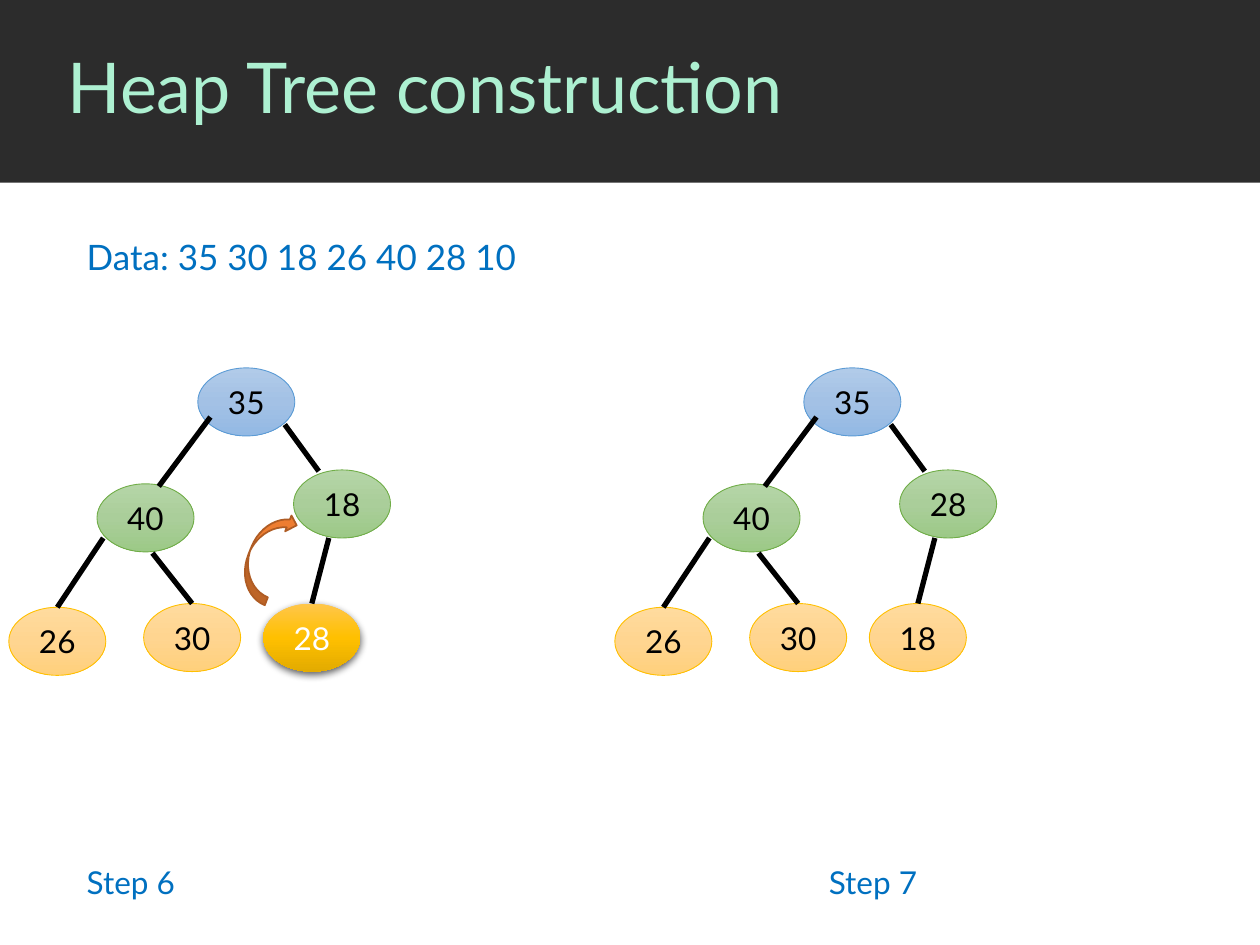
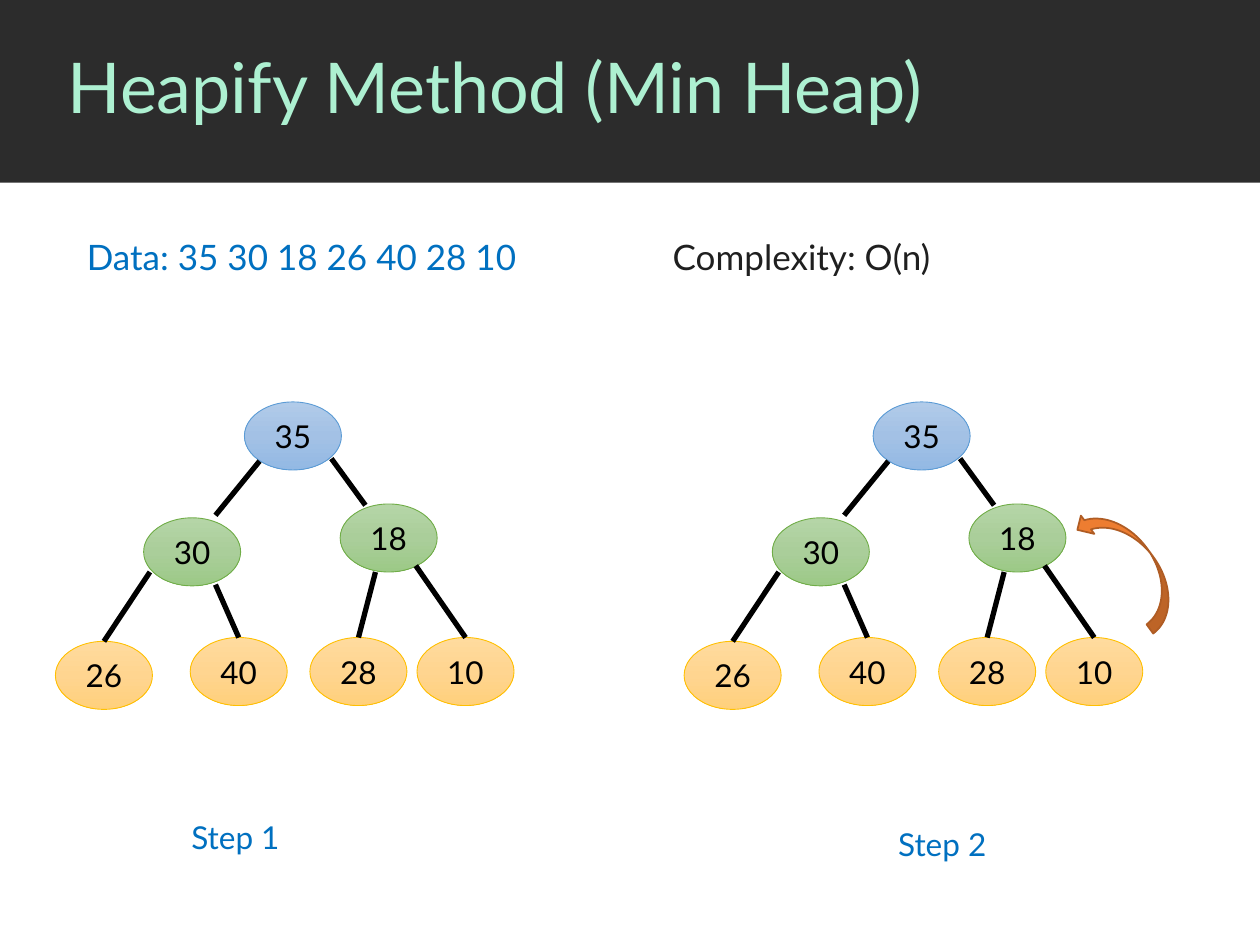
from copy import deepcopy

from lxml import etree
from pptx import Presentation
from pptx.dml.color import RGBColor as RGB
from pptx.enum.shapes import MSO_CONNECTOR as CXN, MSO_SHAPE as SHAPE
from pptx.enum.text import MSO_ANCHOR as ANCHOR, PP_ALIGN as ALIGN
from pptx.oxml.ns import qn
from pptx.util import Inches, Pt

FONT = "Lato"
BAND = RGB(0x2C, 0x2C, 0x2C)
MINT = RGB(0xAD, 0xF0, 0xD1)
BLUE = RGB(0x00, 0x70, 0xC0)
INK = RGB(0x1F, 0x1F, 0x1F)
BLACK = RGB(0x00, 0x00, 0x00)
WHITE = RGB(0xFF, 0xFF, 0xFF)
ORANGE = RGB(0xED, 0x7D, 0x31)
RUST = RGB(0xAF, 0x5C, 0x24)

# Node styles: three gradient colours and an outline
ROOT = ((RGB(0xB1, 0xCB, 0xE9), RGB(0xA3, 0xC1, 0xE5), RGB(0x93, 0xB9, 0xE4)),
        RGB(0x5B, 0x9B, 0xD5))
INNER = ((RGB(0xB5, 0xD5, 0xA7), RGB(0xAA, 0xCE, 0x9A), RGB(0x9C, 0xC9, 0x87)),
         RGB(0x70, 0xAD, 0x47))
LEAF = ((RGB(0xFF, 0xDB, 0x9E), RGB(0xFF, 0xD5, 0x90), RGB(0xFF, 0xD0, 0x7C)),
        RGB(0xFF, 0xC0, 0x00))
MOVING = ((RGB(0xFF, 0xC6, 0x4B), RGB(0xFF, 0xC0, 0x00), RGB(0xE3, 0xAB, 0x00)),
          None)

# Tree layout in level order, measured from the root's top left corner
NODE_W, NODE_H = 0.77, 0.54
NODES = [(0, 0), (-0.8, 0.92), (0.76, 0.81),
         (-1.5, 1.9), (-0.43, 1.87), (0.52, 1.87), (1.37, 1.87)]
STYLES = [ROOT] + [INNER] * 2 + [LEAF] * 4
# Edge start for each child, and edge end for the two inner children
STARTS = {1: (0.12, 0.47), 2: (0.69, 0.45), 3: (-0.75, 1.35),
          4: (-0.23, 1.45), 5: (1.04, 1.35), 6: (1.36, 1.3)}
ENDS = {1: (-0.23, 0.9), 2: (0.96, 0.82)}
# Edges that run differently in the construction steps
BUILD_STARTS = {1: (0.1, 0.39), 4: (-0.36, 1.47)}
BUILD_ENDS = {1: (-0.31, 0.94)}

DATA = "Data: 35 30 18 26 40 28 10"


class Deck:
    def __init__(self):
        self.prs = Presentation()
        self.prs.slide_width, self.prs.slide_height = Inches(10), Inches(7.5)
        self.s = None

    def slide(self, title):
        self.s = self.prs.slides.add_slide(self.prs.slide_layouts[6])
        self.shape(SHAPE.RECTANGLE, 0, 0, 10, 1.45, BAND)
        tf = self.text(title, 0.44, 0, 9.56, 1.44, 40, MINT)
        tf.vertical_anchor = ANCHOR.MIDDLE
        tf.paragraphs[0].line_spacing = 0.9

    def style(self, tf, text, size, color):
        tf.text = text
        r = tf.paragraphs[0].runs[0]
        r.font.name, r.font.size = FONT, Pt(size)
        r.font.color.rgb = color

    def text(self, text, x, y, w, h, size, color):
        tf = self.s.shapes.add_textbox(
            Inches(x), Inches(y), Inches(w), Inches(h)).text_frame
        tf.word_wrap = True
        self.style(tf, text, size, color)
        return tf

    def shape(self, kind, x, y, w, h, fill=None, line=None, width=1):
        sp = self.s.shapes.add_shape(
            kind, Inches(x), Inches(y), Inches(w), Inches(h))
        sp.shadow.inherit = False
        if fill is not None:
            sp.fill.solid()
            sp.fill.fore_color.rgb = fill
        if line is None:
            sp.line.fill.background()
        else:
            sp.line.color.rgb = line
            sp.line.width = Pt(width)
        return sp

    def node(self, value, x, y, style):
        colors, line = style
        sp = self.shape(SHAPE.OVAL, x, y, NODE_W, NODE_H, line=line, width=0.5)
        # Three-stop gradient from top to bottom
        sp.fill.gradient()
        sp.fill.gradient_angle = 270
        stops = next(sp._element.spPr.iter(qn("a:gsLst")))
        stops.append(deepcopy(stops[0]))
        for i, (stop, color) in enumerate(zip(sp.fill.gradient_stops, colors)):
            stop.position = i / 2
            stop.color.rgb = color
        tf = sp.text_frame
        tf.margin_left = tf.margin_right = 0
        tf.vertical_anchor = ANCHOR.MIDDLE
        self.style(tf, str(value), 18, WHITE if style is MOVING else BLACK)
        tf.paragraphs[0].alignment = ALIGN.CENTER
        if style is MOVING:
            self.drop_shadow(sp)
        return sp

    def drop_shadow(self, sp):
        effects = sp._element.spPr.find(qn("a:effectLst"))
        shadow = etree.SubElement(
            effects, qn("a:outerShdw"), blurRad=str(Pt(4.5)), dist=str(Pt(1.5)),
            dir="5400000", algn="ctr", rotWithShape="0")
        color = etree.SubElement(shadow, qn("a:srgbClr"), val=str(BLACK))
        etree.SubElement(color, qn("a:alpha"), val="63000")

    def edge(self, start, end, leaf=None):
        c = self.s.shapes.add_connector(
            CXN.STRAIGHT, *(Inches(v) for v in (*start, *end)))
        if leaf is not None:
            c.end_connect(leaf, 0)
        c.line.color.rgb = BLACK
        c.line.width = Pt(3)
        etree.SubElement(c._element.spPr, qn("a:effectLst"))

    def tree(self, x, y, values, starts=None, ends=None, moving=None):
        starts = {**STARTS, **(starts or {})}
        ends = {**ENDS, **(ends or {})}
        nodes = [self.node(v, x + dx, y + dy, MOVING if i == moving else STYLES[i])
                 for i, (v, (dx, dy)) in enumerate(zip(values, NODES))]
        for i in range(1, len(nodes)):
            dx, dy = NODES[i]
            ex, ey = ends.get(i, (dx + NODE_W / 2, dy))
            sx, sy = starts[i]
            self.edge((x + sx, y + sy), (x + ex, y + ey),
                      None if i in ends else nodes[i])

    def swap_arrow(self, kind, x, y, w, h, angle):
        sp = self.shape(kind, x, y, w, h, ORANGE, RUST)
        sp.rotation = angle
        sp._element.spPr.xfrm.set("flipV", "1")

    def heading(self, text, x, w, color=BLUE):
        self.text(text, x, 1.82, w, 0.44, 20, color)

    def step(self, number, x, y):
        self.text(f"Step {number}", x, y, 1.04, 0.4, 18, BLUE)


def main():
    deck = Deck()

    # Construction: 28 moves above 18
    deck.slide("Heap Tree construction")
    deck.heading(DATA, 0.59, 3.66)
    deck.tree(1.57, 2.92, [35, 40, 18, 26, 30, 28],
              BUILD_STARTS, BUILD_ENDS, moving=5)
    deck.swap_arrow(SHAPE.CURVED_UP_ARROW, 1.74, 4.27, 0.75, 0.27, 291.8)
    deck.tree(6.38, 2.92, [35, 40, 28, 26, 30, 18], BUILD_STARTS, BUILD_ENDS)
    deck.step(6, 0.59, 6.8)
    deck.step(7, 6.48, 6.8)

    # Heapify: 10 is about to move above 18
    deck.slide("Heapify Method (Min Heap)")
    deck.heading(DATA, 0.59, 5.38)
    deck.heading("Complexity: O(n)", 5.24, 3.59, INK)
    for x in (1.94, 6.93):
        deck.tree(x, 3.19, [35, 30, 18, 26, 40, 28, 10])
    deck.swap_arrow(SHAPE.CURVED_LEFT_ARROW, 8.79, 3.92, 0.36, 1.11, 323.8)
    deck.step(1, 1.42, 6.44)
    deck.step(2, 7.03, 6.5)

    deck.prs.save("out.pptx")


if __name__ == "__main__":
    main()
